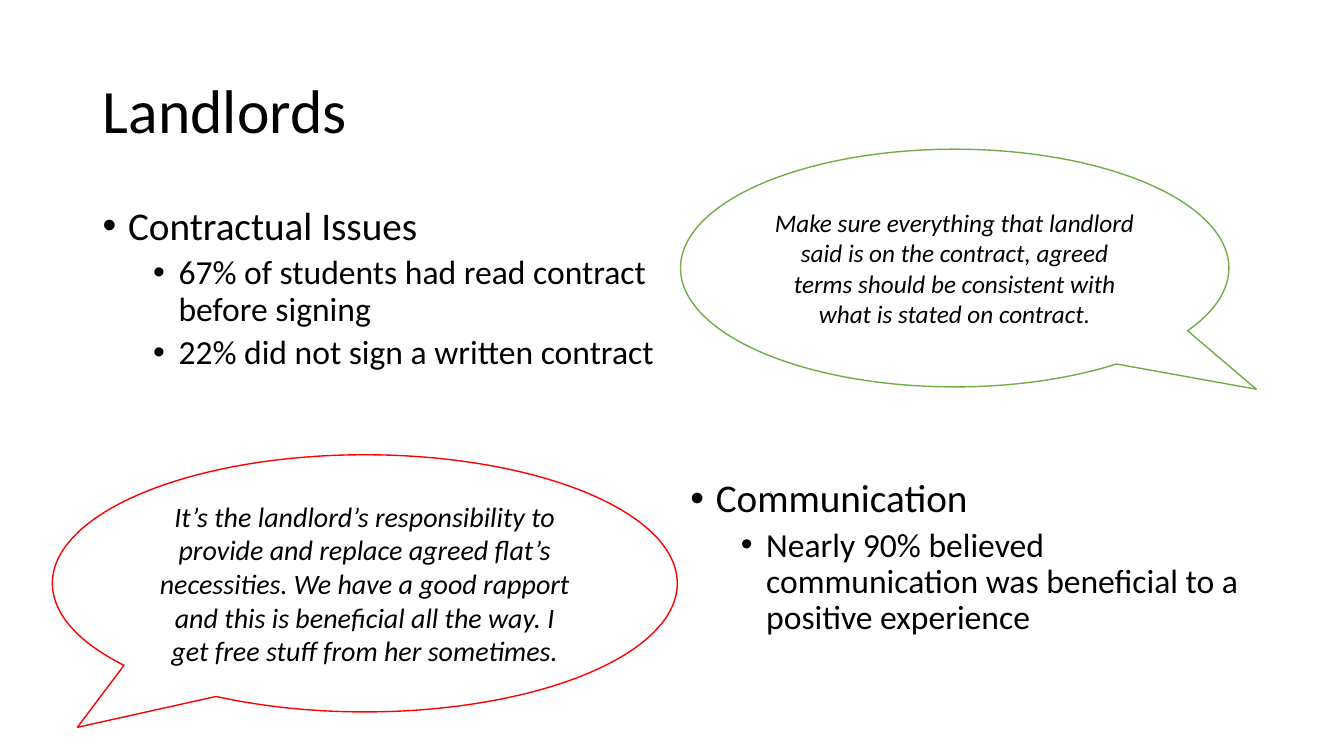
from dataclasses import dataclass

from lxml.etree import SubElement
from pptx import Presentation
from pptx.dml.color import RGBColor as Rgb
from pptx.enum.shapes import MSO_SHAPE as Shape
from pptx.enum.text import MSO_ANCHOR as Anchor, MSO_AUTO_SIZE as AutoSize, PP_ALIGN as Align
from pptx.oxml.ns import qn
from pptx.util import Cm, Pt

COLORS = {"text": "000000", "paper": "FFFFFF", "green": "70AD47", "red": "FF0000"}
FONT = "Calibri"
LEFT, RIGHT, COLUMN = 2.34, 17.15, 14.4


@dataclass
class Frame:
    left: float
    top: float
    width: float
    height: float

    def lengths(self) -> list:
        return [Cm(value) for value in (self.left, self.top, self.width, self.height)]


@dataclass
class Topic:
    frame: Frame
    heading: str
    points: list


@dataclass
class Quote:
    frame: Frame
    tail: tuple
    color: str
    size: int
    text: str


@dataclass
class Level:
    size: int
    before: int
    indent: float


LEVELS = [Level(28, 10, 0.64), Level(24, 5, 1.91)]
HANGING = 0.64

TOPICS = [
    Topic(Frame(LEFT, 5.08, COLUMN, 6.6), "Contractual Issues", [
        "67% of students had read contract before signing",
        "22% did not sign\u00a0a written contract",
    ]),
    Topic(Frame(RIGHT, 11.94, COLUMN, 5.49), "Communication", [
        "Nearly 90% believed communication was beneficial to a positive experience",
    ]),
]

QUOTES = [
    Quote(Frame(RIGHT, 3.76, 13.82, 5.99), (0.55, 0.51), "green", 18,
          "Make sure everything that landlord said is on the contract, "
          "agreed terms should be consistent with what is stated on contract."),
    Quote(Frame(1.32, 11.46, 15.75, 6.48), (-0.46, 0.56), "red", 20,
          "It’s the landlord’s responsibility to provide and replace agreed "
          "flat’s necessities. We have a good rapport and this is beneficial "
          "all the way. I get free stuff from her sometimes."),
]


def rgb(name: str) -> Rgb:
    return Rgb.from_string(COLORS[name])


def apply(target, values: dict) -> None:
    for name, value in values.items():
        setattr(target, name, value)


def write(para, text: str, size: int, italic: bool = False, **layout) -> None:
    apply(para, layout)
    span = para.add_run()
    span.text = text
    apply(span.font, {"name": FONT, "size": Pt(size), "italic": italic, "bold": False})
    span.font.color.rgb = rgb("text")


def add_bullet(para, text: str, depth: int) -> None:
    level = LEVELS[depth]
    write(para, text, level.size, level=depth, line_spacing=0.9, space_before=Pt(level.before))
    properties = para._p.get_or_add_pPr()
    properties.set("marL", str(Cm(level.indent)))
    properties.set("indent", str(Cm(-HANGING)))
    SubElement(properties, qn("a:buFont")).set("typeface", "Arial")
    SubElement(properties, qn("a:buChar")).set("char", "•")


def add_title(page, text: str) -> None:
    title = page.shapes.title
    apply(title, dict(zip(("left", "top", "width", "height"),
                          Frame(LEFT, 1.02, 29.21, 3.68).lengths())))
    apply(title.text_frame, {"vertical_anchor": Anchor.MIDDLE, "word_wrap": True,
                             "auto_size": AutoSize.NONE})
    write(title.text_frame.paragraphs[0], text, 44, alignment=Align.LEFT, line_spacing=0.9)


def add_topic(page, topic: Topic) -> None:
    box = page.shapes.add_textbox(*topic.frame.lengths()).text_frame
    box.word_wrap = True
    add_bullet(box.paragraphs[0], topic.heading, 0)
    for point in topic.points:
        add_bullet(box.add_paragraph(), point, 1)


def add_quote(page, quote: Quote) -> None:
    bubble = page.shapes.add_shape(Shape.OVAL_CALLOUT, *quote.frame.lengths())
    for index, value in enumerate(quote.tail):
        bubble.adjustments[index] = value
    bubble.shadow.inherit = False
    bubble.fill.solid()
    bubble.fill.fore_color.rgb = rgb("paper")
    bubble.line.color.rgb = rgb(quote.color)
    bubble.line.width = Pt(1)
    apply(bubble.text_frame, {"vertical_anchor": Anchor.MIDDLE, "word_wrap": True})
    write(bubble.text_frame.paragraphs[0], quote.text, quote.size, True, alignment=Align.CENTER)


deck = Presentation()
apply(deck, {"slide_width": Cm(33.87), "slide_height": Cm(19.05)})
page = deck.slides.add_slide(deck.slide_layouts[5])
add_title(page, "Landlords")
for topic in TOPICS:
    add_topic(page, topic)
for quote in QUOTES:
    add_quote(page, quote)
deck.save("out.pptx")
